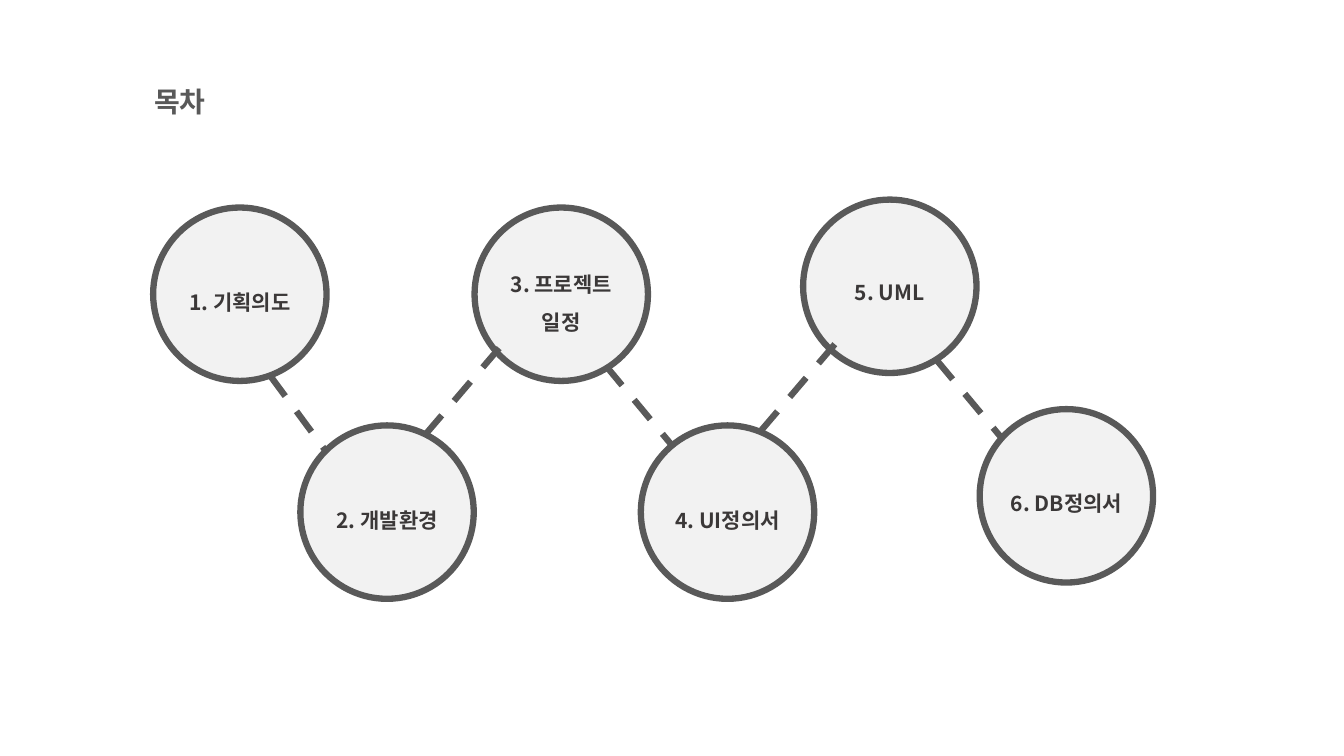
from dataclasses import dataclass

from lxml.etree import SubElement
from pptx import Presentation
from pptx.dml.color import RGBColor
from pptx.enum.dml import MSO_LINE
from pptx.enum.shapes import MSO_CONNECTOR, MSO_SHAPE
from pptx.enum.text import MSO_ANCHOR, MSO_AUTO_SIZE, PP_ALIGN
from pptx.oxml.ns import qn
from pptx.util import Cm, Pt

GREY = RGBColor(0x59, 0x59, 0x59)
PALE = RGBColor(0xF2, 0xF2, 0xF2)
DARK = RGBColor(0x3B, 0x38, 0x38)
FONT = "Noto Sans CJK KR"
SIZE = 4.37  # circle diameter, cm
INSET = 0.4  # from circle edge to label edge, cm
HIGH, LOW = 5.23, 10.72  # tops of the two rows, cm


@dataclass
class Topic:
    left: float
    top: float
    lines: list[str]
    drop: float = 1.62  # from circle top to label top


@dataclass
class Link:
    start: tuple[float, float]
    end: tuple[float, float]


TOPICS = [
    Topic(3.86, HIGH, ["1. 기획의도"]),
    Topic(7.57, LOW, ["2. 개발환경"]),
    Topic(11.96, HIGH, ["3. 프로젝트", "일정"], 1.17),
    Topic(16.15, LOW, ["4. UI정의서"]),
    Topic(20.24, 5.03, ["5. UML"], 1.57),
    Topic(24.69, 10.31, ["6. DB정의서"]),
]
LINKS = [
    Link((6.81, 9.47), (8.2, 11.35)),
    Link((10.72, 10.95), (12.65, 8.69)),
    Link((15.27, 9.22), (16.94, 11.23)),
    Link((19.18, 10.85), (21.11, 8.59)),
    Link((23.6, 9.07), (25.27, 11.07)),
]


def add_run(para, text: str, size: int, color: RGBColor) -> None:
    run = para.add_run()
    run.text = text
    font = run.font
    font.size, font.bold, font.name = Pt(size), True, FONT
    font.color.rgb = color
    SubElement(font._element, qn("a:ea"), typeface=FONT)


def set_line(line) -> None:
    line.color.rgb = GREY
    line.width = Pt(4.5)


def add_topic(slide, topic: Topic) -> None:
    disc = slide.shapes.add_shape(
        MSO_SHAPE.OVAL, Cm(topic.left), Cm(topic.top), Cm(SIZE), Cm(SIZE))
    disc.shadow.inherit = False
    disc.fill.solid()
    disc.fill.fore_color.rgb = PALE
    set_line(disc.line)

    label = slide.shapes.add_textbox(
        Cm(topic.left + INSET), Cm(topic.top + topic.drop),
        Cm(SIZE - 2 * INSET), Cm(1.1 * len(topic.lines)))
    frame = label.text_frame
    frame.word_wrap = True
    frame.auto_size = MSO_AUTO_SIZE.SHAPE_TO_FIT_TEXT
    for i, text in enumerate(topic.lines):
        para = frame.add_paragraph() if i else frame.paragraphs[0]
        para.alignment = PP_ALIGN.CENTER
        para.line_spacing = 1.5
        add_run(para, text, 15, DARK)


def add_link(slide, link: Link) -> None:
    line = slide.shapes.add_connector(
        MSO_CONNECTOR.STRAIGHT, *map(Cm, link.start + link.end))
    set_line(line.line)
    line.line.dash_style = MSO_LINE.DASH
    SubElement(line._element.spPr, qn("a:effectLst"))


# Slide
deck = Presentation()
deck.slide_width, deck.slide_height = Cm(33.87), Cm(19.05)
slide = deck.slides.add_slide(deck.slide_layouts[5])

# Title
title = slide.shapes.title
title.left, title.top = Cm(3.63), Cm(2.01)
title.width, title.height = Cm(11.05), Cm(1.12)
frame = title.text_frame
frame.vertical_anchor = MSO_ANCHOR.TOP
frame.auto_size = MSO_AUTO_SIZE.SHAPE_TO_FIT_TEXT
frame.paragraphs[0].alignment = PP_ALIGN.LEFT
add_run(frame.paragraphs[0], "목차", 20, GREY)

# Topics and the dashed path between them
for topic in TOPICS:
    add_topic(slide, topic)
for link in LINKS:
    add_link(slide, link)

deck.save("out.pptx")
